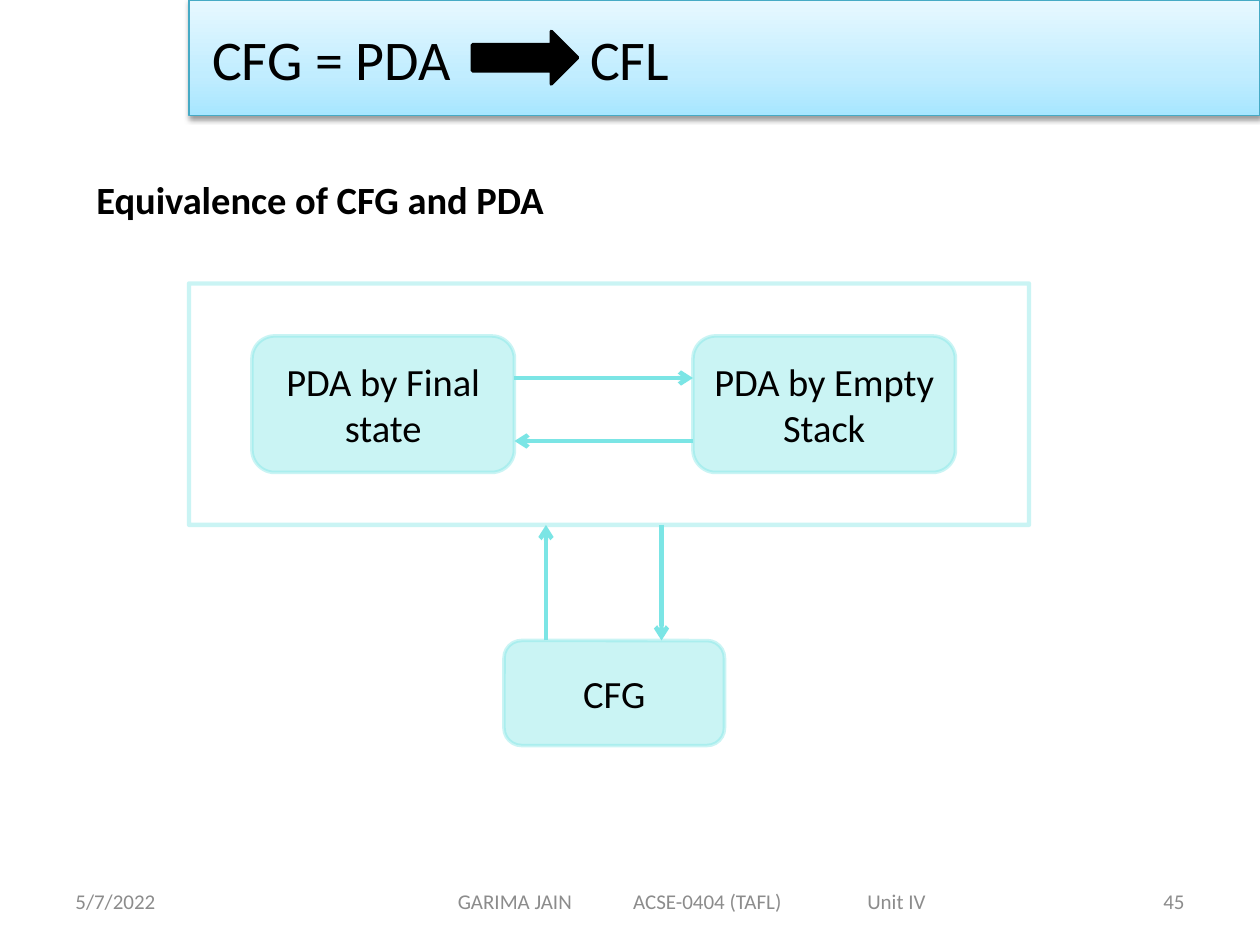
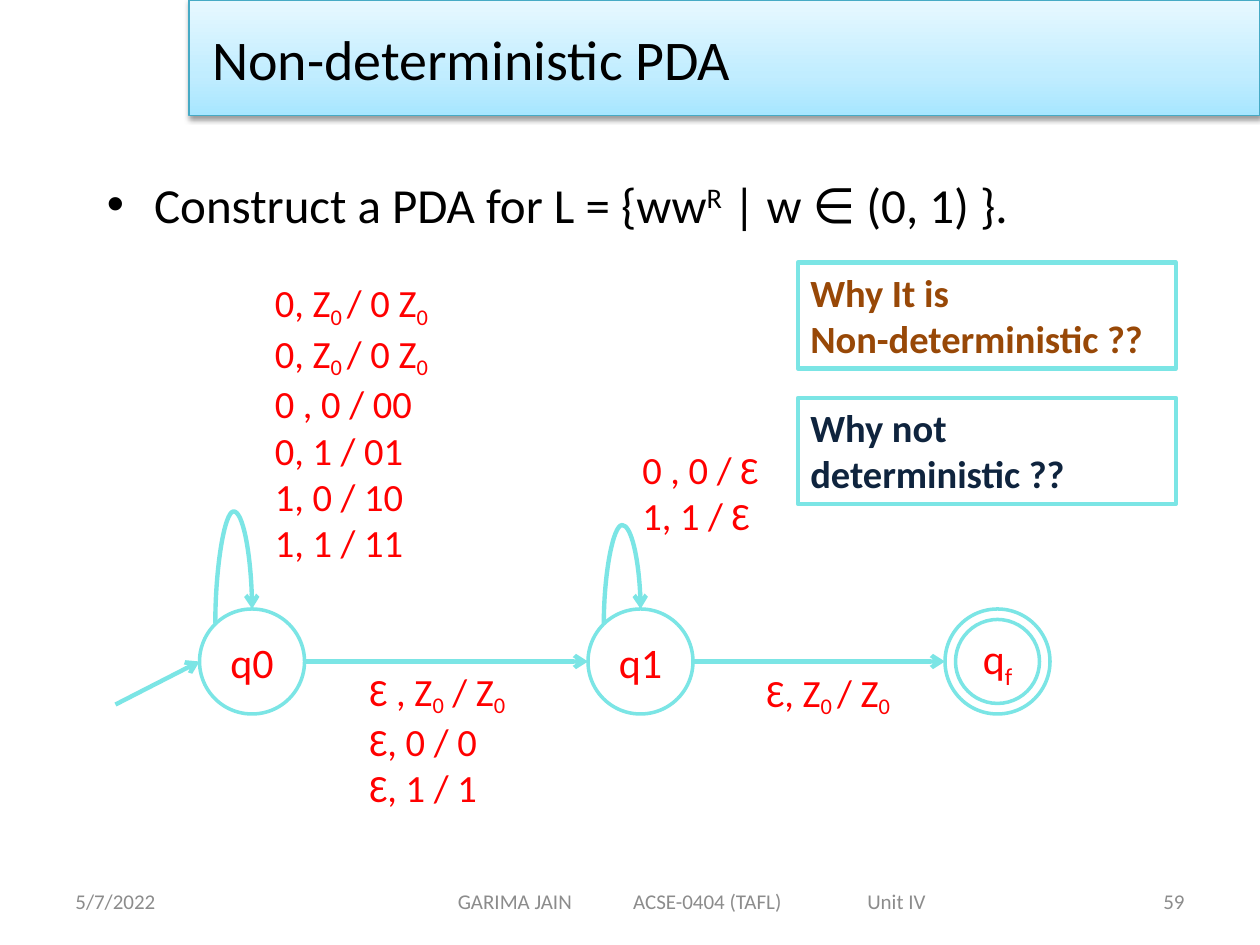
import lxml.etree
import pptx
import pptx.dml.color
import pptx.enum.shapes
import pptx.enum.text
import pptx.oxml.ns
import pptx.util

EMU_PER_PX = 7620
COLORS = {
    "text": "000000", "footer": "8C8C8C", "aqua": "7BE5E5", "band_line": "46AAC5",
    "red": "FF0000", "brown": "984807", "navy": "0F243E",
    "band_low": "A7E6FF", "band_middle": "C1EDFF", "band_high": "E7F8FF",
}
BAND_STOPS = [(0, "band_low"), (35000, "band_middle"), (100000, "band_high")]
SHAPES = pptx.enum.shapes.MSO_SHAPE
CONNECTORS = pptx.enum.shapes.MSO_CONNECTOR
ALIGN = pptx.enum.text.PP_ALIGN
ANCHOR = pptx.enum.text.MSO_ANCHOR
SUBSCRIPT_ZERO = ("0", -20)


def px(length):
    return round(length * EMU_PER_PX)


def color(name):
    return pptx.dml.color.RGBColor.from_string(COLORS[name])


def add_child(parent, tag, **attributes):
    child = lxml.etree.SubElement(parent, pptx.oxml.ns.qn(tag))
    for name, value in attributes.items():
        child.set(name, str(value))
    return child


class Deck:
    def __init__(self):
        self.presentation = pptx.Presentation()
        self.presentation.slide_width = px(1200)
        self.presentation.slide_height = px(900)
        self.slide = None

    def start_slide(self, title, number, title_tabs=()):
        self.slide = self.presentation.slides.add_slide(self.presentation.slide_layouts[6])
        self.band(title, title_tabs)
        footer = {"size": 12, "color_name": "footer", "anchor": ANCHOR.MIDDLE}
        self.text_box((60, 834, 280, 48), ["5/7/2022"], **footer)
        self.text_box((330, 834, 660, 48), ["GARIMA JAIN\tACSE-0404 (TAFL)\tUnit IV"],
                      left_inset=106, tabs=(167, 390), **footer)
        self.text_box((860, 834, 280, 48), [number], align=ALIGN.RIGHT, **footer)

    def band(self, title, tabs):
        shape = self.shape(SHAPES.RECTANGLE, (180, 0, 1020, 110), "band_line", 0.75)
        shape.fill.gradient()
        properties = shape._element.spPr
        gradient = properties.find(pptx.oxml.ns.qn("a:gradFill"))
        stops = gradient.find(pptx.oxml.ns.qn("a:gsLst"))
        stops.clear()
        for position, name in BAND_STOPS:
            stop = add_child(stops, "a:gs", pos=position)
            add_child(stop, "a:srgbClr", val=COLORS[name])
        gradient.find(pptx.oxml.ns.qn("a:lin")).set("ang", "16200000")
        effects = properties.find(pptx.oxml.ns.qn("a:effectLst"))
        shadow = add_child(effects, "a:outerShdw", blurRad=pptx.util.Pt(3.1),
                           dist=pptx.util.Pt(1.6), dir=5400000, rotWithShape=0)
        add_child(add_child(shadow, "a:srgbClr", val="000000"), "a:alpha", val=38000)
        self.set_text(shape, [title], size=32, anchor=ANCHOR.MIDDLE, left_inset=22, tabs=tabs)

    def shape(self, kind, box, line_name="aqua", line_width=2, fill_name=None, opacity=100):
        shape = self.slide.shapes.add_shape(kind, *map(px, box))
        shape.shadow.inherit = False
        if fill_name:
            shape.fill.solid()
            shape.fill.fore_color.rgb = color(fill_name)
        else:
            shape.fill.background()
        shape.line.color.rgb = color(line_name)
        shape.line.width = pptx.util.Pt(line_width)
        if opacity < 100:
            for element in list(shape._element.spPr.iter(pptx.oxml.ns.qn("a:srgbClr"))):
                add_child(element, "a:alpha", val=opacity * 1000)
        return shape

    def text_box(self, box, lines, **style):
        self.set_text(self.slide.shapes.add_textbox(*map(px, box)), lines, **style)

    def set_text(self, shape, lines, size=22, color_name="text", bold=False, align=ALIGN.LEFT,
                 anchor=ANCHOR.TOP, left_inset=12, tabs=(), bullet=None, line_spacing=None):
        frame = shape.text_frame
        frame_format = {"word_wrap": True, "vertical_anchor": anchor, "margin_left": px(left_inset)}
        for name, value in frame_format.items():
            setattr(frame, name, value)
        for index, line in enumerate(lines):
            paragraph = frame.add_paragraph() if index else frame.paragraphs[0]
            paragraph.alignment = align
            if line_spacing:
                paragraph.line_spacing = line_spacing
            properties = paragraph._p.get_or_add_pPr()
            if bullet:
                properties.set("marL", str(px(45)))
                properties.set("indent", str(px(-45)))
                add_child(properties, "a:buFont", typeface="Arial")
                add_child(properties, "a:buChar", char=bullet)
            if tabs:
                tab_list = add_child(properties, "a:tabLst")
                for position in tabs:
                    add_child(tab_list, "a:tab", pos=px(position), algn="l")
            for part in [line] if isinstance(line, str) else line:
                text, baseline = (part, 0) if isinstance(part, str) else part
                run = paragraph.add_run()
                run.text = text
                font_format = {"name": "Calibri", "size": pptx.util.Pt(size), "bold": bold}
                for name, value in font_format.items():
                    setattr(run.font, name, value)
                run.font.color.rgb = color(color_name)
                if baseline:
                    run._r.get_or_add_rPr().set("baseline", str(baseline * 1000))

    def rounded_box(self, box, text):
        shape = self.shape(SHAPES.ROUNDED_RECTANGLE, box, fill_name="aqua", opacity=40)
        self.set_text(shape, [text], align=ALIGN.CENTER, anchor=ANCHOR.MIDDLE)

    def state(self, center, label):
        shape = self.shape(SHAPES.OVAL, (center - 50, 580, 100, 100))
        self.set_text(shape, [label], size=24, color_name="red", align=ALIGN.CENTER,
                      anchor=ANCHOR.MIDDLE)

    def question(self, top, lines, color_name):
        shape = self.shape(SHAPES.RECTANGLE, (760, top, 360, 101), line_width=2.5)
        self.set_text(shape, lines, color_name=color_name, bold=True)

    def arrow(self, start, end, kind=CONNECTORS.STRAIGHT):
        connector = self.slide.shapes.add_connector(kind, *map(px, (*start, *end)))
        connector.line.color.rgb = color("aqua")
        connector.line.width = pptx.util.Pt(2.5)
        add_child(connector.line._get_or_add_ln(), "a:tailEnd", type="arrow")
        add_child(connector._element.spPr, "a:effectLst")
        return connector

    def loop(self, center, rise):
        width, drop = 35, 14
        middle_x, middle_y = center - width / 2, 580 + drop / 2
        connector = self.arrow((middle_x - drop / 2, middle_y - width / 2),
                               (middle_x + drop / 2, middle_y + width / 2), CONNECTORS.CURVE)
        properties = connector._element.spPr
        frame = properties.find(pptx.oxml.ns.qn("a:xfrm"))
        for name, value in {"rot": "5400000", "flipH": "1", "flipV": "1"}.items():
            frame.set(name, value)
        geometry = properties.find(pptx.oxml.ns.qn("a:prstGeom"))
        adjustments = geometry.find(pptx.oxml.ns.qn("a:avLst"))
        if adjustments is None:
            adjustments = add_child(geometry, "a:avLst")
        add_child(adjustments, "a:gd", name="adj1", fmla=f"val {round(rise / drop * 100000)}")


def build_equivalence(deck):
    deck.start_slide("CFG = PDA\tCFL", "45", title_tabs=(360,))
    deck.text_box((80, 140, 1060, 594), ["Equivalence of CFG and PDA"], bold=True, line_spacing=1.5)
    deck.shape(SHAPES.RIGHT_ARROW, (450, 30, 100, 50), "text", fill_name="text")
    deck.rounded_box((240, 320, 250, 130), "PDA by Final state")
    deck.rounded_box((660, 320, 250, 130), "PDA by Empty Stack")
    deck.shape(SHAPES.RECTANGLE, (180, 270, 800, 230), line_width=2.5, opacity=40)
    deck.rounded_box((480, 610, 210, 100), "CFG")
    for start, end in [((490, 360), (660, 360)), ((660, 420), (490, 420)),
                       ((520, 610), (520, 500)), ((630, 500), (630, 610))]:
        deck.arrow(start, end)


def build_nondeterministic(deck):
    deck.start_slide("Non-deterministic PDA", "59")
    deck.text_box((90, 160, 1050, 594),
                  [["Construct a PDA for L = {ww", ("R", 30), " | w ∈ (0, 1) }."]],
                  size=28, bullet="•")
    for center, label in [(240, "q0"), (610, "q1"), (950, ["q", ("f", -25)])]:
        deck.state(center, label)
    deck.shape(SHAPES.OVAL, (910, 590, 80, 80))
    for start, end in [((110, 671), (190, 630)), ((290, 630), (560, 630)), ((660, 630), (900, 630))]:
        deck.arrow(start, end)
    deck.loop(240, 107)
    deck.loop(610, 94)
    push_first = ["0, Z", ("0 ", -20), "/ 0 Z", SUBSCRIPT_ZERO]
    labels = [
        ((250, 260, 180, 278), 12,
         [push_first, push_first, "0 , 0 / 00", "0, 1 / 01", "1, 0 / 10", "1, 1 / 11"]),
        ((340, 630, 180, 145), 12,
         [["Ɛ , Z", SUBSCRIPT_ZERO, " / Z", SUBSCRIPT_ZERO], "Ɛ, 0 / 0", "Ɛ, 1 / 1"]),
        ((600, 419, 180, 101), 12, ["0 , 0 / Ɛ", "1, 1 / Ɛ"]),
        ((710, 631, 180, 56), 20, [["Ɛ, Z", ("0 ", -20), "/ Z", SUBSCRIPT_ZERO]]),
    ]
    for box, inset, lines in labels:
        deck.text_box(box, lines, color_name="red", left_inset=inset)
    deck.question(250, ["Why It is", "Non-deterministic ??"], "brown")
    deck.question(379, ["Why not", "deterministic ??"], "navy")


def main():
    deck = Deck()
    build_equivalence(deck)
    build_nondeterministic(deck)
    deck.presentation.save("out.pptx")


if __name__ == "__main__":
    main()
